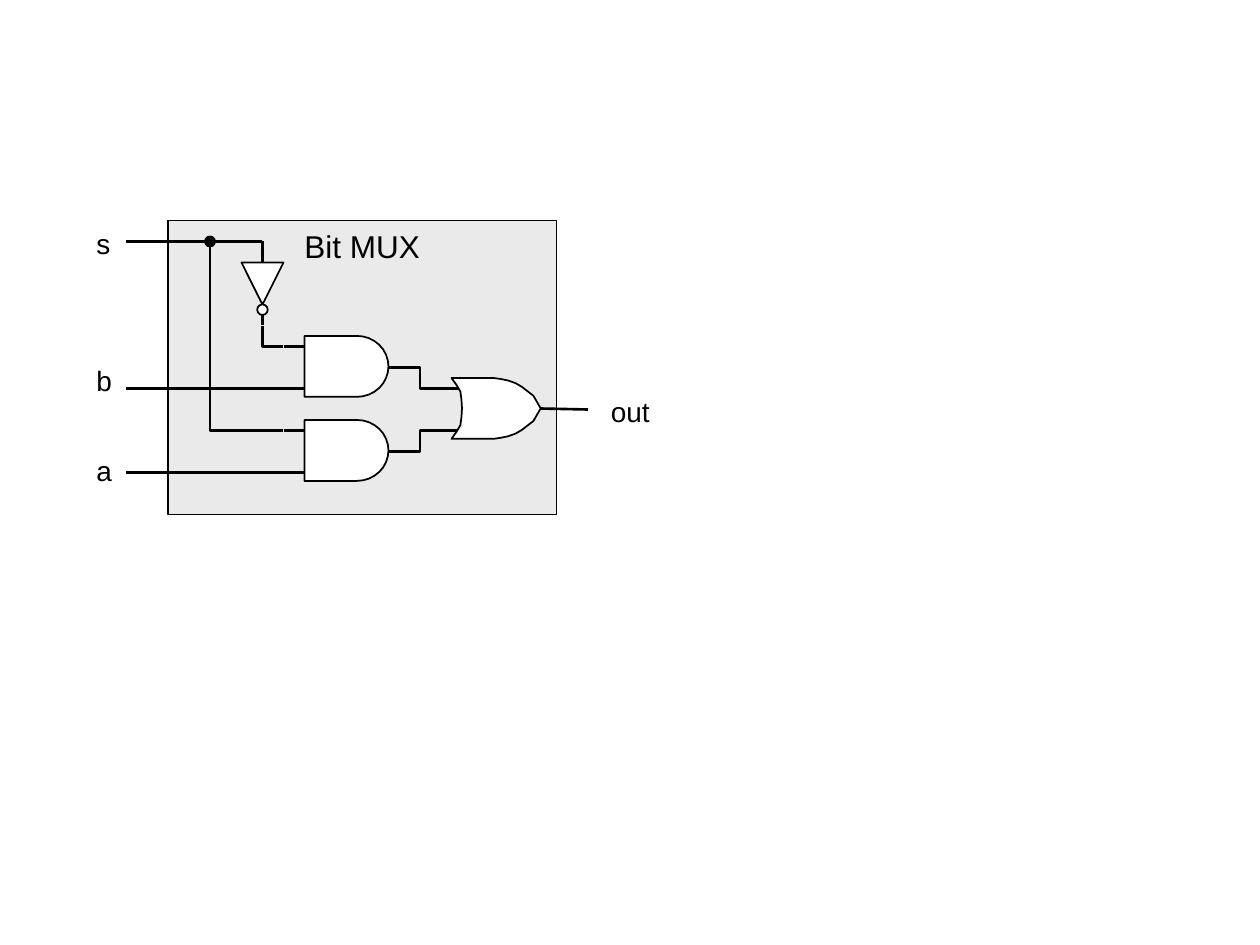
from dataclasses import dataclass
from math import cos, pi, sin

from lxml.etree import SubElement
from pptx import Presentation
from pptx.dml.color import RGBColor as Rgb
from pptx.enum.shapes import MSO_CONNECTOR as Link, MSO_SHAPE as Kind
from pptx.enum.text import MSO_ANCHOR as Anchor, PP_ALIGN as Align
from pptx.oxml.ns import qn
from pptx.util import Inches, Pt


@dataclass(frozen=True)
class Theme:
    ink: Rgb = Rgb(0, 0, 0)
    paper: Rgb = Rgb(255, 255, 255)
    panel: Rgb = Rgb(0xEA, 0xEA, 0xEA)
    font: str = "Arial"
    title: int = 18
    label: int = 16
    thin: float = 0.75
    edge: float = 1
    wire: float = 1.5


class Board:
    """Draws on a grid of 120 columns and 90 rows, each 1/12 inch."""

    def __init__(self, slide, theme):
        self.shapes = slide.shapes
        self.theme = theme

    def grid(self, *cells):
        return [Inches(cell / 12) for cell in cells]

    def paint(self, shape, fill, width):
        shape.shadow.inherit = False
        if fill is None:
            shape.fill.background()
        else:
            shape.fill.solid()
            shape.fill.fore_color.rgb = fill
        shape.line.color.rgb = self.theme.ink
        shape.line.width = Pt(width)
        return shape

    def letter(self, shape, text, size, align, wrap=False):
        frame = shape.text_frame
        frame.text = text
        frame.word_wrap = wrap
        frame.vertical_anchor = Anchor.TOP
        line = frame.paragraphs[0]
        line.alignment = align
        font = line.runs[0].font
        font.name, font.size = self.theme.font, Pt(size)
        font.color.rgb = self.theme.ink

    def panel(self, text, *box):
        shape = self.shapes.add_shape(Kind.RECTANGLE, *self.grid(*box))
        self.paint(shape, self.theme.panel, self.theme.thin)
        self.letter(shape, text, self.theme.title, Align.CENTER)

    def label(self, text, box, align=Align.LEFT, wrap=False):
        shape = self.shapes.add_textbox(*self.grid(*box))
        self.letter(shape, text, self.theme.label, align, wrap)

    def dot(self, x, y, fill, width):
        """Unit circle centred on x, y."""
        box = self.grid(x - 0.5, y - 0.5, 1, 1)
        self.paint(self.shapes.add_shape(Kind.OVAL, *box), fill, width)

    def outline(self, points, closed):
        first, *rest = [self.grid(*point) for point in points]
        pen = self.shapes.build_freeform(*first)
        pen.add_line_segments(rest, close=closed)
        return pen.convert_to_shape()

    def wire(self, *points):
        """A straight connector for two points, a bent line for more."""
        if len(points) > 2:
            self.paint(self.outline(points, False), None, self.theme.wire)
            return
        start, end = points
        line = self.shapes.add_connector(Link.STRAIGHT, *self.grid(*start, *end))
        line.line.color.rgb = self.theme.ink
        line.line.width = Pt(self.theme.wire)
        SubElement(line._element.spPr, qn("a:effectLst"))

    def gate(self, x, y, points):
        moved = [(x + dx, y + dy) for dx, dy in points]
        self.paint(self.outline(moved, True), self.theme.paper, self.theme.edge)


HALF = 2.9  # half the height of a gate


def mirror(points):
    """Continue an upper outline with its reflection below the axis."""
    return points + [(x, 2 * HALF - y) for x, y in reversed(points)]


def and_form():
    turns = [pi / 2 * step / 8 for step in range(9)]
    return mirror([(0, 0)] + [(5 + 3 * sin(t), HALF - HALF * cos(t)) for t in turns])


def or_form():
    back = [(1, HALF), (0.95, 2.1), (0.85, 1.3), (0.5, 0.7), (0, 0)]
    nose = [(4, 0), (4.7, 0.1), (5.4, 0.25), (6.1, 0.5), (6.7, 0.85),
            (7.8, 1.7), (8.5, HALF)]
    return mirror(back + nose)


def main():
    deck = Presentation()
    deck.slide_width, deck.slide_height = Inches(10), Inches(7.5)
    theme = Theme()
    board = Board(deck.slides.add_slide(deck.slide_layouts[6]), theme)

    board.panel("Bit MUX", 16, 21, 37, 28)

    # AND outputs into the OR gate
    board.wire((37, 35), (40, 35), (40, 37), (44, 37))
    board.wire((37, 43), (40, 43), (40, 41), (44, 41))
    board.wire((51, 38.9), (56, 39))
    board.gate(43, 36, or_form())

    # Inverter on the select line
    board.wire((12, 23), (25, 23))
    board.wire((25, 23), (25, 25))
    board.wire((25, 30), (25, 31))
    board.gate(23, 25, [(0, 0), (4, 0), (2, 4)])
    board.dot(25, 29.5, theme.paper, theme.edge)

    # Inputs of the two AND gates
    board.wire((25, 31), (25, 33), (27, 33))
    board.wire((20, 23), (20, 41), (27, 41))
    for top in (32, 40):
        board.wire((27, top + 1), (29, top + 1))
        board.wire((12, top + 5), (29, top + 5))
        board.gate(29, top, and_form())
    board.dot(20, 23, theme.ink, theme.thin)

    board.label("s", (8, 21, 3.7, 4.4))
    board.label("b", (8, 34, 3.8, 4.4), Align.RIGHT)
    board.label("a", (8, 42.6, 3.8, 4.4), Align.RIGHT)
    board.label("out", (57, 37, 8, 4.4), wrap=True)

    deck.save("out.pptx")


if __name__ == "__main__":
    main()
